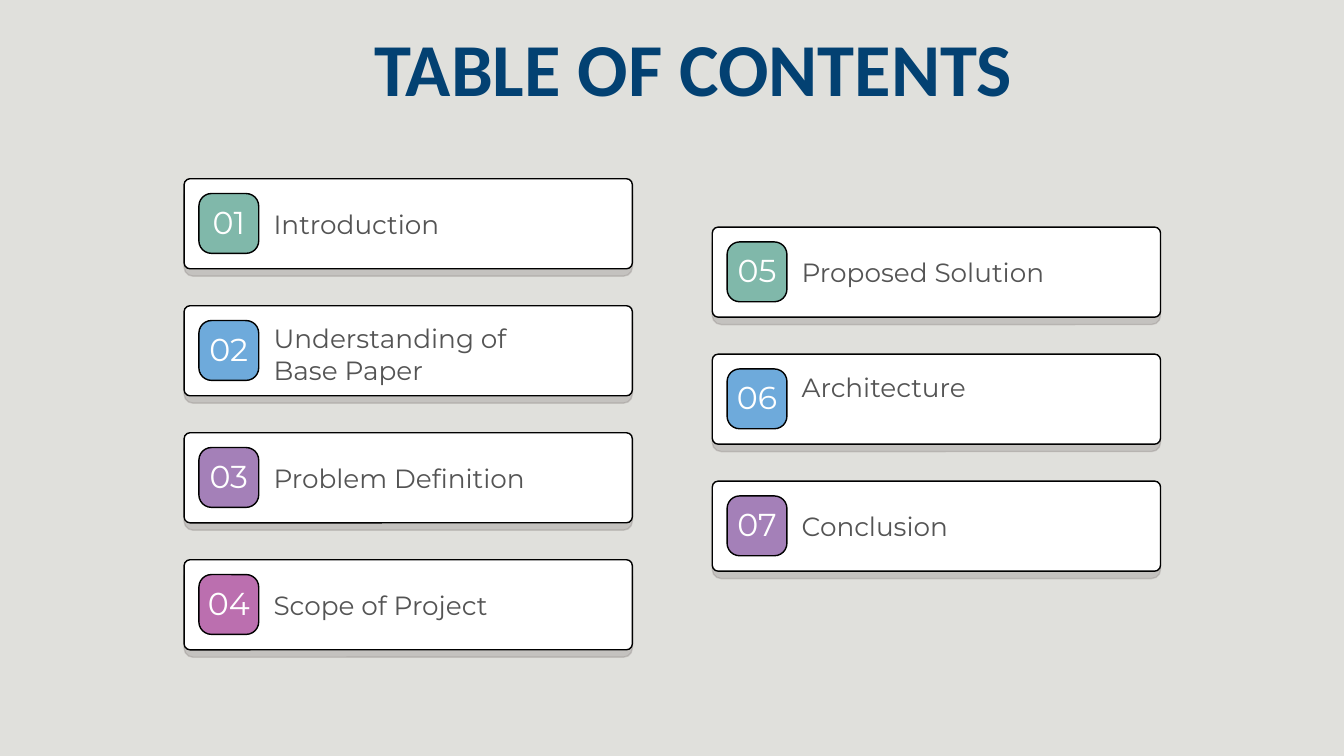
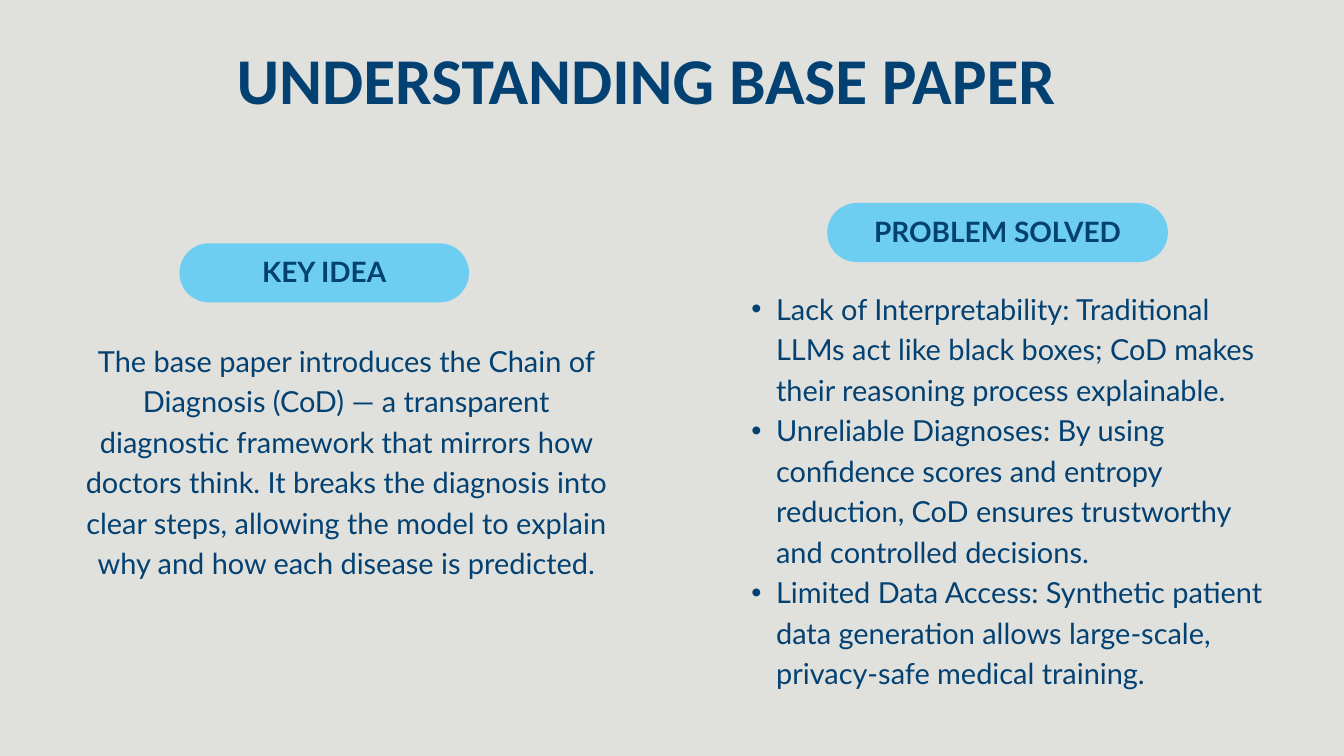
from lxml.etree import SubElement
from pptx import Presentation
from pptx.dml.color import RGBColor
from pptx.enum.shapes import MSO_SHAPE
from pptx.enum.text import MSO_ANCHOR, MSO_AUTO_SIZE, PP_ALIGN
from pptx.oxml.ns import qn
from pptx.util import Inches, Pt

COLORS = {
    "background": "E0E0DC",
    "navy": "034172",
    "sky": "6ECEF2",
    "white": "FFFFFF",
    "black": "000000",
    "gray": "545454",
    "shade": "8B8482",
    "green": "80B8AA",
    "blue": "6EAADB",
    "purple": "A480B8",
    "pink": "BB6FAF",
}
BADGE_COLORS = ["green", "blue", "purple", "pink"]

STYLES = {
    "contents title": {"name": "Calibri", "size": Pt(80), "bold": True},
    "paper title": {"name": "Calibri", "size": Pt(70), "bold": True},
    "number": {"name": "Montserrat", "size": Pt(33.9), "bold": False},
    "entry": {"name": "Montserrat", "size": Pt(28.2), "bold": False},
    "heading": {"name": "Lato", "size": Pt(30), "bold": True},
    "body": {"name": "Lato", "size": Pt(31), "bold": False},
}
LINE_SPACING = {
    "contents title": 80, "paper title": 70, "number": 33.9,
    "entry": 33.9, "heading": 30, "body": 43.4,
}
FRAME = {
    "margin_left": 0, "margin_top": 0, "margin_right": 0, "margin_bottom": 0,
    "word_wrap": True, "auto_size": MSO_AUTO_SIZE.NONE,
}

CARD_WIDTH, CARD_HEIGHT, CARD_PITCH = 6.67, 1.34, 1.89
BADGE_SIZE, BADGE_INSET = 0.89, 0.22
SHADE_DROP = 0.11

COLUMNS = [
    (2.74, 2.66, [
        ("Introduction", 0.43),
        ("Understanding of Base Paper", 0.25),
        ("Problem Definition", 0.43),
        ("Scope of Project", 0.43),
    ]),
    (10.6, 3.38, [
        ("Proposed Solution", 0.43),
        ("Architecture", 0.25),
        ("Conclusion", 0.43),
    ]),
]

KEY_IDEA = (
    "The base paper introduces the Chain of Diagnosis (CoD) — a transparent "
    "diagnostic framework that mirrors how doctors think. It breaks the "
    "diagnosis into clear steps, allowing the model to explain why and how "
    "each disease is predicted."
)
PROBLEMS = [
    "Lack of Interpretability: Traditional LLMs act like black boxes; CoD "
    "makes their reasoning process explainable.",
    "Unreliable Diagnoses: By using confidence scores and entropy reduction, "
    "CoD ensures trustworthy and controlled decisions.",
    "Limited Data Access: Synthetic patient data generation allows "
    "large-scale, privacy-safe medical training.",
]


def rgb(color):
    return RGBColor.from_string(COLORS[color])


def set_attributes(target, values):
    for name, value in values.items():
        setattr(target, name, value)


def write(shape, paragraphs, style, color, align=PP_ALIGN.CENTER, anchor=MSO_ANCHOR.TOP):
    frame = shape.text_frame
    set_attributes(frame, FRAME)
    frame.vertical_anchor = anchor
    frame.text = "\n".join(paragraphs)
    for paragraph in frame.paragraphs:
        paragraph.alignment = align
        paragraph.line_spacing = Pt(LINE_SPACING[style])
        for run in paragraph.runs:
            set_attributes(run.font, STYLES[style])
            run.font.color.rgb = rgb(color)


def add_title_slide(deck, title, style, box):
    slide = deck.slides.add_slide(deck.slide_layouts[5])
    heading = slide.shapes.title
    heading.left, heading.top, heading.width, heading.height = map(Inches, box)
    write(heading, [title], style, "navy")
    return slide


def add_text(slide, box, paragraphs, style, color, align):
    text = slide.shapes.add_textbox(*map(Inches, box))
    write(text, paragraphs, style, color, align)
    return text


def add_rounded(slide, box, fill, radius, outline=None):
    shape = slide.shapes.add_shape(MSO_SHAPE.ROUNDED_RECTANGLE, *map(Inches, box))
    shape.shadow.inherit = False
    shape.adjustments[0] = radius
    shape.fill.solid()
    shape.fill.fore_color.rgb = rgb(fill)
    if outline:
        shape.line.color.rgb = rgb(outline)
        shape.line.width = Pt(1.5)
    else:
        shape.line.fill.background()
    return shape


def make_translucent(shape, percent):
    for color in list(shape.element.spPr.iter(qn("a:srgbClr"))):
        SubElement(color, qn("a:alpha"), val=str(percent * 1000))


def add_bullets(text):
    for paragraph in text.text_frame.paragraphs:
        properties = paragraph._p.get_or_add_pPr()
        properties.set("marL", str(Inches(0.73)))
        properties.set("indent", str(Inches(-0.37)))
        SubElement(properties, qn("a:buFont"), typeface="Arial")
        SubElement(properties, qn("a:buChar"), char="•")


def add_entry_card(slide, left, top, number, entry, entry_drop, badge_color):
    shade = add_rounded(slide, (left, top + SHADE_DROP, CARD_WIDTH, CARD_HEIGHT),
                        "shade", 0.1, "shade")
    make_translucent(shade, 32)
    add_rounded(slide, (left, top, CARD_WIDTH, CARD_HEIGHT), "white", 0.065, "black")
    badge = add_rounded(slide, (left + BADGE_INSET, top + BADGE_INSET, BADGE_SIZE, BADGE_SIZE),
                        badge_color, 0.21, "black")
    write(badge, [f"{number:02}"], "number", "white", anchor=MSO_ANCHOR.MIDDLE)
    badge.text_frame.margin_top = Inches(0.05)
    add_text(slide, (left + 1.33, top + entry_drop, 4.45, 0.94 if entry_drop < 0.4 else 0.47),
             [entry], "entry", "gray", PP_ALIGN.LEFT)


def add_pill(slide, box, heading):
    pill = add_rounded(slide, box, "sky", 0.5)
    write(pill, [heading], "heading", "navy", anchor=MSO_ANCHOR.MIDDLE)
    pill.text_frame.margin_top = Inches(0.05)


def build_contents(deck):
    slide = add_title_slide(deck, "TABLE OF CONTENTS", "contents title",
                            (3.8, 0.54, 13.05, 1.23))
    number = 0
    for left, first_top, entries in COLUMNS:
        for row, (entry, entry_drop) in enumerate(entries):
            number += 1
            add_entry_card(slide, left, first_top + row * CARD_PITCH, number,
                           entry, entry_drop, BADGE_COLORS[row])


def build_base_paper(deck):
    slide = add_title_slide(deck, "UNDERSTANDING BASE PAPER", "paper title",
                            (0.35, 0.78, 18.53, 1.07))
    add_pill(slide, (2.67, 3.62, 4.31, 0.88), "KEY IDEA")
    add_text(slide, (1.12, 5.02, 8.06, 3.54), [KEY_IDEA], "body", "navy", PP_ALIGN.CENTER)
    add_pill(slide, (12.31, 3.02, 5.07, 0.88), "PROBLEM SOLVED")
    problems = add_text(slide, (10.82, 4.25, 8.06, 6.51), PROBLEMS, "body", "navy",
                        PP_ALIGN.LEFT)
    add_bullets(problems)


def main():
    deck = Presentation()
    deck.slide_width, deck.slide_height = Inches(20), Inches(11.25)
    backdrop = deck.slide_master.background.fill
    backdrop.solid()
    backdrop.fore_color.rgb = rgb("background")
    build_contents(deck)
    build_base_paper(deck)
    deck.save("out.pptx")


if __name__ == "__main__":
    main()
